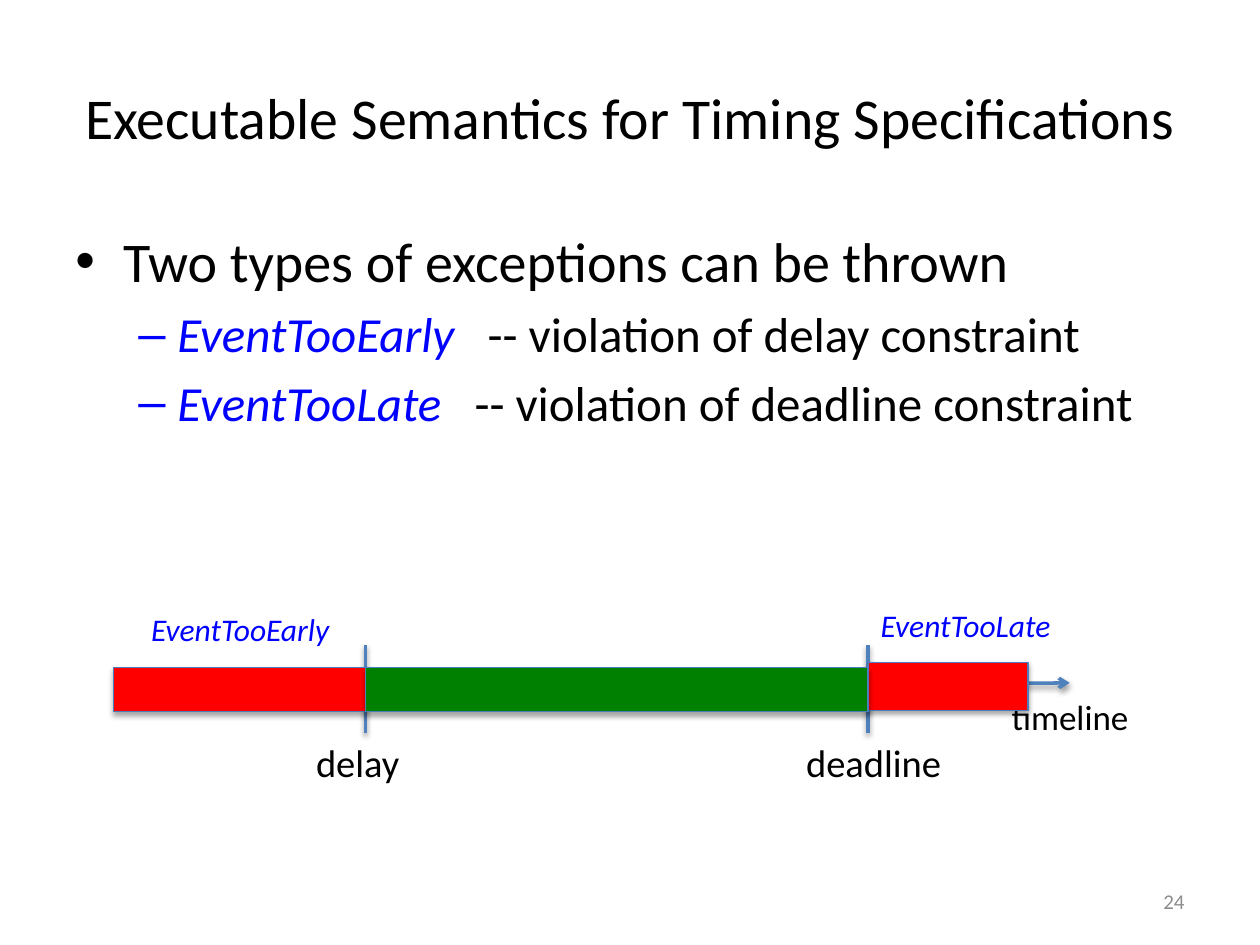
from lxml import etree
from pptx import Presentation
from pptx.dml.color import RGBColor
from pptx.enum.shapes import MSO_CONNECTOR, MSO_SHAPE
from pptx.enum.text import MSO_ANCHOR, MSO_AUTO_SIZE, PP_ALIGN
from pptx.oxml import parse_xml
from pptx.oxml.ns import nsdecls, qn
from pptx.util import Inches, Pt

STRAIGHT, RECT = MSO_CONNECTOR.STRAIGHT, MSO_SHAPE.RECTANGLE
TOP, MIDDLE = MSO_ANCHOR.TOP, MSO_ANCHOR.MIDDLE
LEFT, CENTER, RIGHT = PP_ALIGN.LEFT, PP_ALIGN.CENTER, PP_ALIGN.RIGHT
FIT = MSO_AUTO_SIZE.SHAPE_TO_FIT_TEXT

BLACK = RGBColor(0x00, 0x00, 0x00)
GRAY = RGBColor(0x8C, 0x8C, 0x8C)
BLUE = RGBColor(0x00, 0x00, 0xFF)
RED = RGBColor(0xFF, 0x00, 0x00)
GREEN = RGBColor(0x00, 0x80, 0x00)
LINE = RGBColor(0x4F, 0x81, 0xBD)
BORDER = RGBColor(0x4B, 0x7E, 0xBC)

FONT = "Calibri"
COLS, ROWS = 100, 75
DELAY, DEADLINE = 29, 68.9  # columns of the two time limits


class SlideBuilder:
    """Places styled elements on a grid of COLS by ROWS cells."""

    def __init__(self, prs):
        self.slide = prs.slides.add_slide(prs.slide_layouts[6])
        self.shapes = self.slide.shapes
        self.col = prs.slide_width / COLS
        self.row = prs.slide_height / ROWS

    def place(self, x, y, w, h):
        return (round(x * self.col), round(y * self.row),
                round(w * self.col), round(h * self.row))

    def run(self, p, text, size, color=BLACK, italic=False):
        r = p.add_run()
        r.text = text
        f = r.font
        f.name, f.size, f.italic = FONT, Pt(size), italic
        f.color.rgb = color
        return r

    def box(self, cell, anchor=TOP, wrap=True):
        tf = self.shapes.add_textbox(*self.place(*cell)).text_frame
        tf.word_wrap = wrap
        tf.vertical_anchor = anchor
        return tf

    def text(self, cell, text, size, color=BLACK, align=LEFT, anchor=MIDDLE):
        p = self.box(cell, anchor).paragraphs[0]
        p.alignment = align
        self.run(p, text, size, color)

    def label(self, cell, text, size, color=BLACK, italic=False, wrap=True):
        tf = self.box(cell, wrap=wrap)
        tf.auto_size = FIT
        self.run(tf.paragraphs[0], text, size, color, italic)

    def bullet(self, p, char, size, margin, hanging):
        p.space_before = Pt(0.2 * size)
        pPr = p._p.get_or_add_pPr()
        pPr.set("marL", str(Inches(margin)))
        pPr.set("indent", str(-Inches(hanging)))
        etree.SubElement(pPr, qn("a:buFont")).set("typeface", "Arial")
        etree.SubElement(pPr, qn("a:buChar")).set("char", char)

    def bullets(self, cell, heading, items):
        tf = self.box(cell)
        p = tf.paragraphs[0]
        self.bullet(p, "•", 32, 0.38, 0.38)
        self.run(p, heading, 32)
        for term, meaning in items:
            p = tf.add_paragraph()
            p.level = 1
            self.bullet(p, "–", 28, 0.81, 0.31)
            self.run(p, term, 28, BLUE, True)
            gap = self.run(p, " ", 28, BLUE, True)
            gap._r.get_or_add_rPr().set("spc", "1270")  # widened single space
            self.run(p, meaning, 28)

    def shadow(self, s, distance, opacity):
        s._element.spPr.append(parse_xml(
            f'<a:effectLst {nsdecls("a")}>'
            f'<a:outerShdw blurRad="{Pt(3.1)}" dist="{Pt(distance)}" '
            'dir="5400000" rotWithShape="0"><a:srgbClr val="000000">'
            f'<a:alpha val="{opacity * 1000}"/></a:srgbClr>'
            '</a:outerShdw></a:effectLst>'))

    def line(self, x1, y1, x2, y2, arrow=False):
        s = self.shapes.add_connector(STRAIGHT, *self.place(x1, y1, x2, y2))
        s.line.color.rgb = LINE
        s.line.width = Pt(2)
        if arrow:
            tail = etree.SubElement(s.line._get_or_add_ln(), qn("a:tailEnd"))
            tail.set("type", "arrow")
        self.shadow(s, 1.6, 38)

    def bar(self, start, end, y, h, fill):
        s = self.shapes.add_shape(RECT, *self.place(start, y, end - start, h))
        s.fill.solid()
        s.fill.fore_color.rgb = fill
        s.line.color.rgb = BORDER
        s.line.width = Pt(0.75)
        self.shadow(s, 1.8, 35)


def main():
    prs = Presentation()
    prs.slide_width, prs.slide_height = Inches(10), Inches(7.5)
    b = SlideBuilder(prs)

    b.text((5, 3, 90, 12.5), "Executable Semantics for Timing Specifications",
           33, align=CENTER)
    b.bullets((5, 17.5, 90, 49.5), "Two types of exceptions can be thrown", [
        ("EventTooEarly", "-- violation of delay constraint"),
        ("EventTooLate", "-- violation of deadline constraint"),
    ])
    b.text((71.7, 69.5, 23.3, 4), "24", 12, GRAY, RIGHT)

    b.line(12, 54.7, 84.9, 54.2, arrow=True)
    for limit in (DELAY, DEADLINE):
        b.line(limit, 58.2, limit, 51.2)
    b.label((79.3, 54.7, 15.7, 4.4), "timeline", 20)

    b.bar(9, DELAY, 53, 3.5, RED)
    b.bar(DEADLINE, 81.6, 52.6, 3.8, RED)
    b.bar(DELAY, DEADLINE, 53, 3.5, GREEN)

    b.label((11, 47.9, 16.8, 4), "EventTooEarly", 18, BLUE, True, wrap=False)
    b.label((DEADLINE, 47.6, 16.1, 4), "EventTooLate", 18, BLUE, True, wrap=False)
    b.label((24.1, 58.2, 9.9, 4.7), "delay", 22)
    b.label((63, 58.2, 13.9, 4.7), "deadline", 22)

    prs.save("out.pptx")


if __name__ == "__main__":
    main()
